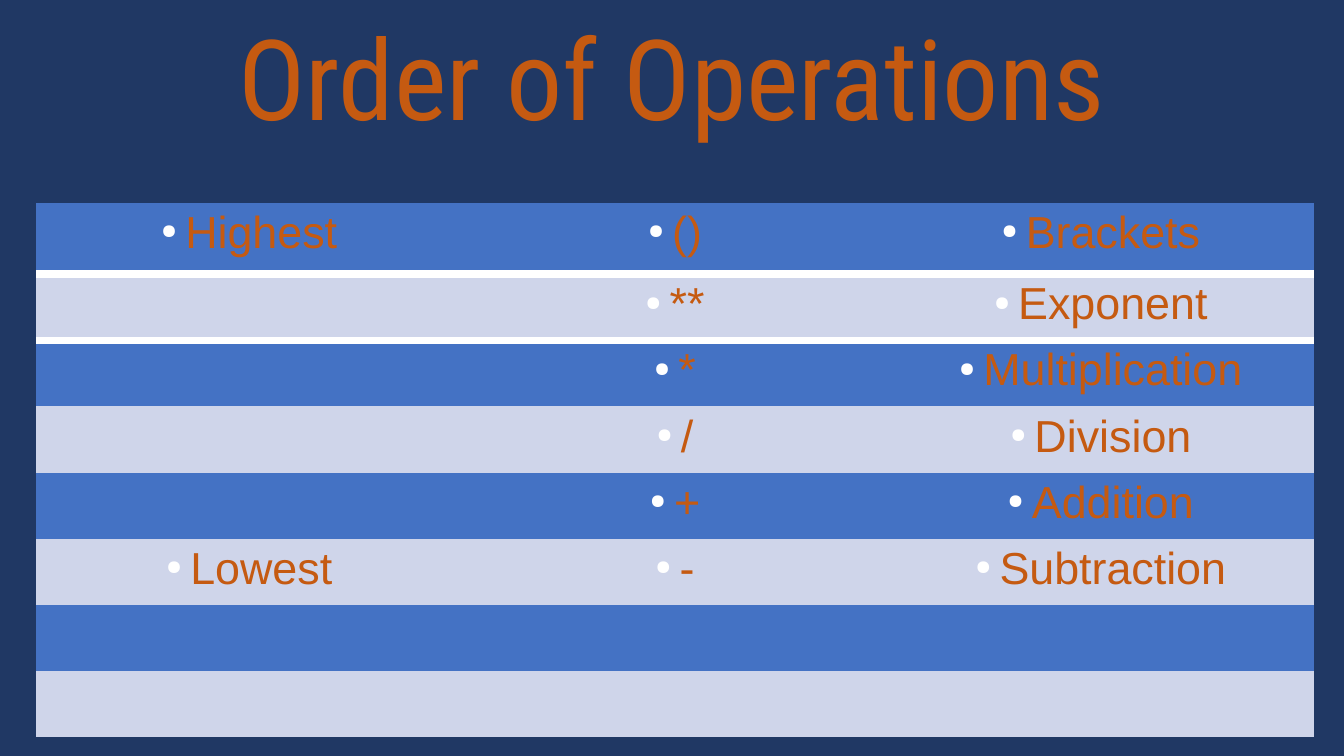
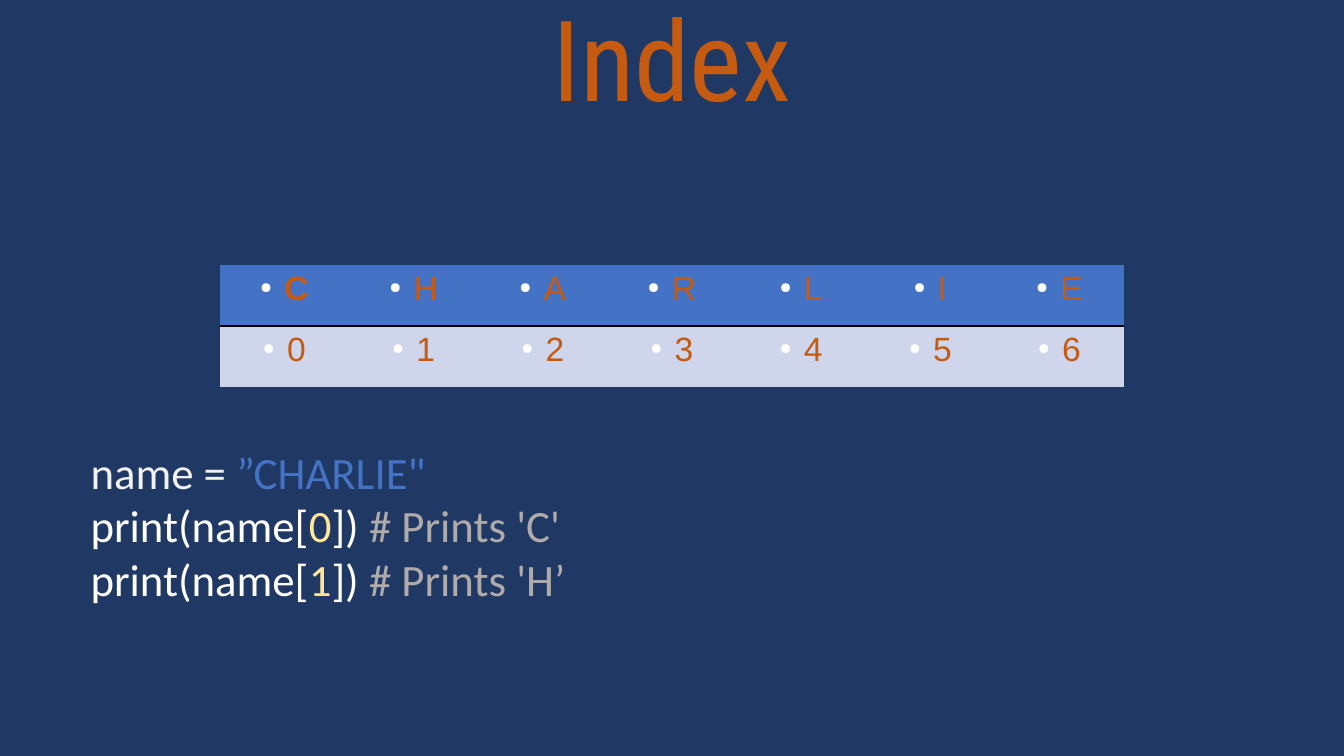
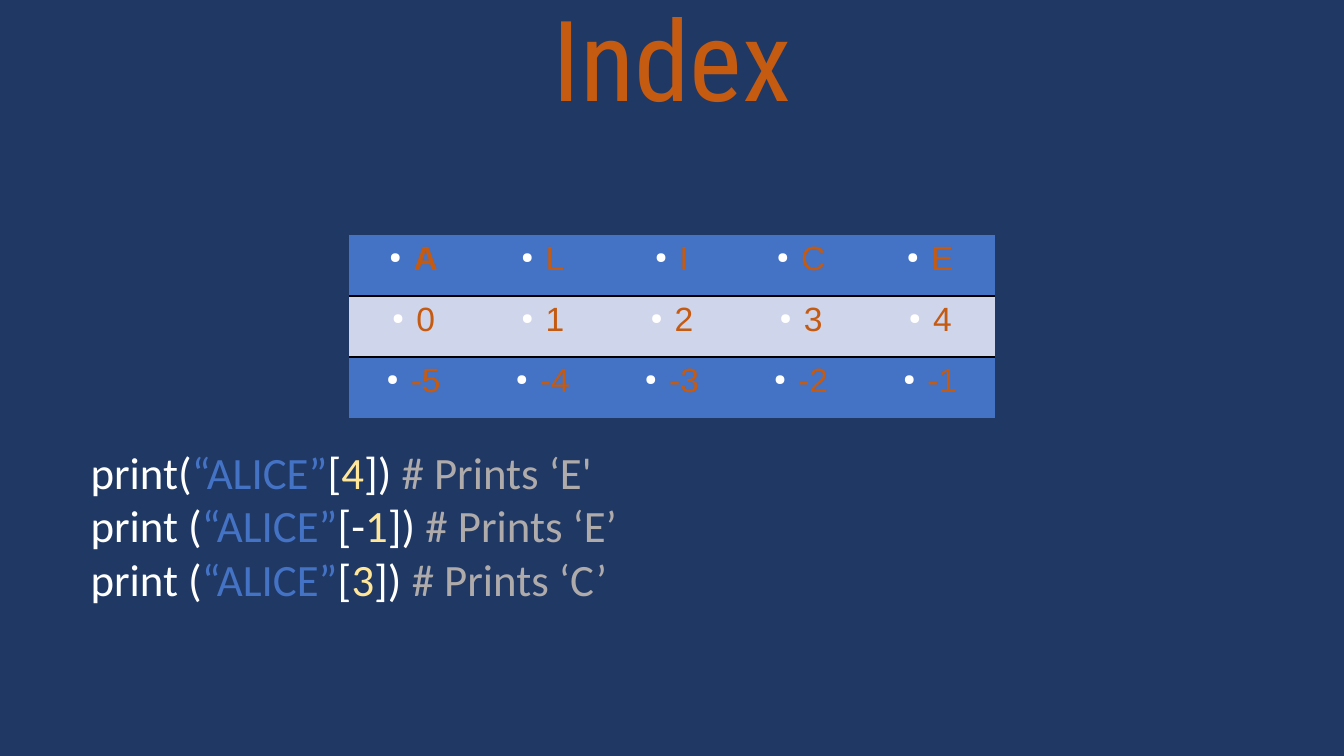
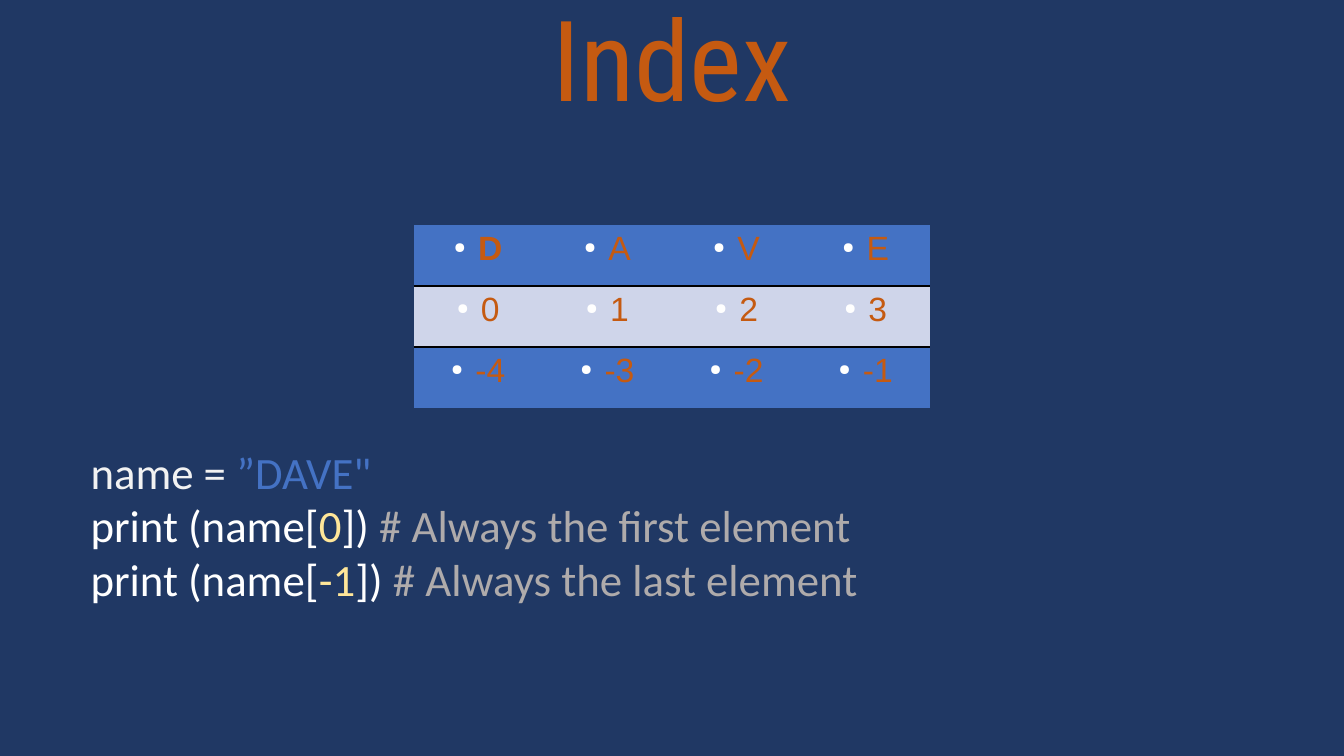
from dataclasses import dataclass

from lxml import etree
from pptx import Presentation
from pptx import util as u
from pptx.dml.color import RGBColor
from pptx.enum import text
from pptx.oxml import ns


@dataclass(frozen=True)
class Theme:
    # Colours
    background: str = "203864"
    accent: str = "C55A11"
    bands: tuple = ("4472C4", "CFD5EA")
    white: str = "FFFFFF"
    rule: str = "000000"
    name: str = "F2F2F2"
    string: str = "4472C4"
    number: str = "FFE699"
    comment: str = "AFABAB"
    # Fonts and type sizes
    title_font: str = "Roboto Condensed"
    table_font: str = "Arial"
    code_font: str = "Calibri"
    title_size: int = 80
    large_size: int = 32
    small_size: int = 24
    # Bullets
    bullet_indent: float = 0.24
    bullet_share: int = 45000


THEME = Theme()
COLUMNS, ROWS = 80, 45
PLAIN_TABLE_STYLE = "{2D5ABB26-0587-4C30-8999-92F81FD0307C}"


def write(paragraph, content, font, size, color, bold=False, align=None):
    """Add one formatted run to a paragraph."""
    run = paragraph.add_run()
    run.text = content
    run.font.name = font
    run.font.size = u.Pt(size)
    run.font.bold = bold
    run.font.color.rgb = RGBColor.from_string(color)
    if align is not None:
        paragraph.alignment = align


def add_bullet(paragraph):
    indent = u.Inches(THEME.bullet_indent)
    properties = paragraph._p.get_or_add_pPr()
    properties.set("marL", str(indent))
    properties.set("indent", str(-indent))
    color = etree.SubElement(properties, ns.qn("a:buClr"))
    etree.SubElement(color, ns.qn("a:srgbClr"), val=THEME.white)
    etree.SubElement(properties, ns.qn("a:buSzPct"), val=str(THEME.bullet_share))
    etree.SubElement(properties, ns.qn("a:buChar"), char="●")


def add_border(cell, side, color, points):
    line = etree.Element(ns.qn(f"a:ln{side}"), w=str(u.Pt(points)))
    fill = etree.SubElement(line, ns.qn("a:solidFill"))
    etree.SubElement(fill, ns.qn("a:srgbClr"), val=color)
    cell._tc.get_or_add_tcPr().insert(0, line)


class Deck:
    def __init__(self):
        self.presentation = Presentation()
        self.presentation.slide_width = u.Inches(13.33)
        self.presentation.slide_height = u.Inches(7.5)
        fill = self.presentation.slide_master.background.fill
        fill.solid()
        fill.fore_color.rgb = RGBColor.from_string(THEME.background)
        self.slide = None

    def across(self, columns):
        return round(self.presentation.slide_width * columns / COLUMNS)

    def down(self, rows):
        return round(self.presentation.slide_height * rows / ROWS)

    def box(self, left, top, width, height):
        return self.across(left), self.down(top), self.across(width), self.down(height)

    def add_slide(self, title, title_top=0):
        layout = self.presentation.slide_layouts.get_by_name("Title Only")
        self.slide = self.presentation.slides.add_slide(layout)
        shape = self.slide.shapes.title
        shape.left, shape.top, shape.width, shape.height = self.box(5.5, title_top, 69, 8.5)
        frame = shape.text_frame
        frame.word_wrap = True
        frame.auto_size = text.MSO_AUTO_SIZE.NONE
        frame.vertical_anchor = text.MSO_ANCHOR.TOP
        paragraph = frame.paragraphs[0]
        paragraph.line_spacing = 0.9
        paragraph.space_before = u.Pt(10)
        write(paragraph, title, font=THEME.title_font, size=THEME.title_size,
              color=THEME.accent, align=text.PP_ALIGN.CENTER)

    def add_table(self, rows, left, top, column_width, row_height, size,
                  ruled_rows, rule_color, rule_points, header_height=None, bold_first=False):
        """Draw a banded table with a rule below each row listed in ruled_rows."""
        count = len(rows[0])
        shape = self.slide.shapes.add_table(
            len(rows), count,
            *self.box(left, top, column_width * count, row_height * len(rows)))
        table = shape.table
        table.first_row = table.horz_banding = False
        shape._element.find(".//" + ns.qn("a:tableStyleId")).text = PLAIN_TABLE_STYLE
        for column in table.columns:
            column.width = self.across(column_width)
        for row in table.rows:
            row.height = self.down(row_height)
        if header_height:
            table.rows[0].height = self.down(header_height)

        for r, row in enumerate(rows):
            for c, content in enumerate(row):
                cell = table.cell(r, c)
                cell.fill.solid()
                cell.fill.fore_color.rgb = RGBColor.from_string(THEME.bands[r % 2])
                # Each border goes first, so the bottom one is set before the top
                if r in ruled_rows:
                    add_border(cell, "B", rule_color, rule_points)
                if r - 1 in ruled_rows:
                    add_border(cell, "T", rule_color, rule_points)
                if content:
                    paragraph = cell.text_frame.paragraphs[0]
                    write(paragraph, content, font=THEME.table_font, size=size,
                          color=THEME.accent, bold=bold_first and r == c == 0,
                          align=text.PP_ALIGN.CENTER)
                    add_bullet(paragraph)

    def add_index_table(self, rows, top):
        column_width = 7.69
        self.add_table(rows, left=(COLUMNS - column_width * len(rows[0])) / 2, top=top,
                       column_width=column_width, row_height=3.63, size=THEME.small_size,
                       ruled_rows=range(len(rows) - 1), rule_color=THEME.rule,
                       rule_points=1.98, bold_first=True)

    def add_code(self, lines):
        frame = self.slide.shapes.add_textbox(*self.box(4.8, 26.16, 65.1, 12)).text_frame
        frame.word_wrap = True
        for number, line in enumerate(lines):
            paragraph = frame.add_paragraph() if number else frame.paragraphs[0]
            for content, color in line:
                write(paragraph, content, font=THEME.code_font,
                      size=THEME.large_size, color=color)


# Lines of code as (text, colour) pairs
def assignment(value):
    return [("name = ", THEME.name), (value, THEME.string)]


def print_name(opening, index, comment):
    return [(opening, THEME.white), (index, THEME.number),
            ("]) ", THEME.white), (comment, THEME.comment)]


def print_string(opening, value, bracket, index, comment):
    return [(opening, THEME.white), (value, THEME.string),
            *print_name(bracket, index, comment)]


def main():
    deck = Deck()

    # Order of operations
    deck.add_slide("Order of Operations", title_top=1.14)
    operations = [
        ("Highest", "()", "Brackets"),
        ("", "**", "Exponent"),
        ("", "*", "Multiplication"),
        ("", "/", "Division"),
        ("", "+", "Addition"),
        ("Lowest", "-", "Subtraction"),
        ("", "", ""),
        ("", "", ""),
    ]
    deck.add_table(operations, left=2.16, top=12.06, column_width=25.35, row_height=3.94,
                   header_height=4.26, size=THEME.large_size, ruled_rows=[0],
                   rule_color=THEME.white, rule_points=6)

    # Index slides: table rows, table top, code
    index_slides = [
        (["CHARLIE", range(7)], 15.78, [
            assignment("”CHARLIE\""),
            print_name("print(name[", "0", "# Prints 'C'"),
            print_name("print(name[", "1", "# Prints 'H’"),
        ]),
        (["ALICE", range(5), range(-5, 0)], 13.98, [
            print_string("print(", "“ALICE”", "[", "4", "# Prints ‘E'"),
            print_string("print (", "“ALICE”", "[-", "1", "# Prints ‘E’"),
            print_string("print (", "“ALICE”", "[", "3", "# Prints ‘C’"),
        ]),
        (["DAVE", range(4), range(-4, 0)], 13.41, [
            assignment("”DAVE\""),
            print_name("print (name[", "0", "# Always the first element"),
            print_name("print (name[", "-1", "# Always the last element"),
        ]),
    ]
    for rows, top, code in index_slides:
        deck.add_slide("Index")
        deck.add_index_table([[str(item) for item in row] for row in rows], top)
        deck.add_code(code)

    deck.presentation.save("out.pptx")


if __name__ == "__main__":
    main()
